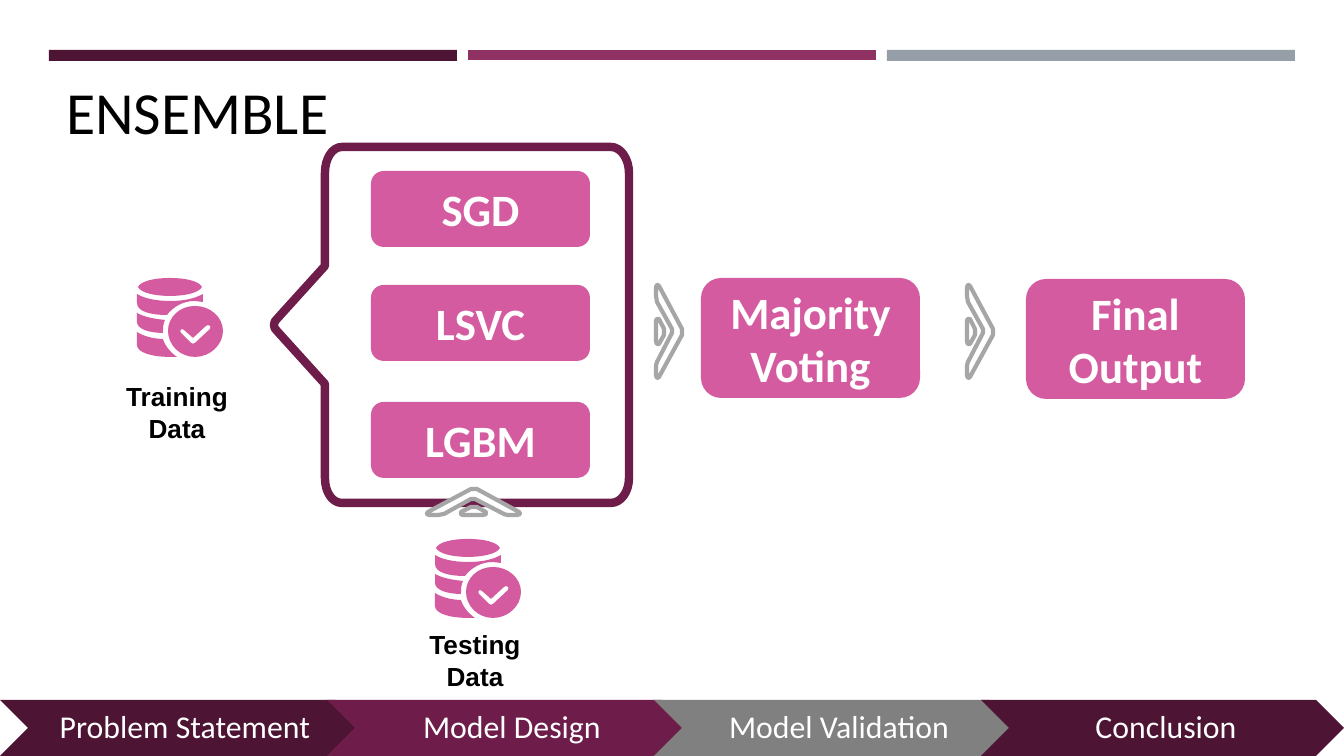
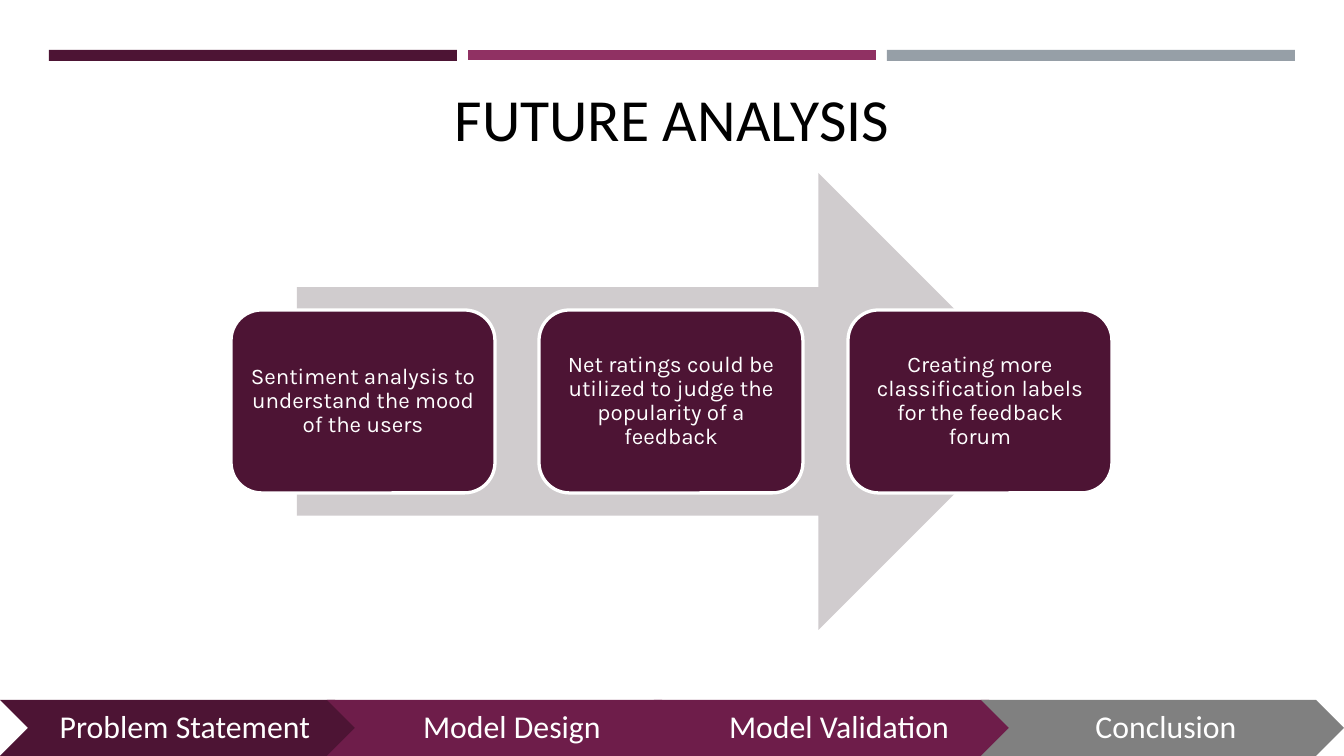
from pptx import Presentation
from pptx.dml.color import RGBColor
from pptx.enum.shapes import MSO_SHAPE as Shape
from pptx.enum.text import MSO_ANCHOR as Anchor, PP_ALIGN as Align
from pptx.oxml.ns import qn
from pptx.oxml.xmlchemy import OxmlElement
from pptx.util import Pt

PX = 914400 / 134.4

COLORS = {
    "plum": "4D1434",
    "wine": "6E1D4A",
    "berry": "903163",
    "pink": "D45B9F",
    "slate": "969FA7",
    "active": "808080",
    "arrow_line": "A6A6A6",
    "arrow_back": "D0CCCE",
    "white": "FFFFFF",
    "black": "000000",
}
STEPS = ["Problem Statement", "Model Design", "Model Validation", "Conclusion"]
STEP_COLORS = {
    "Model Validation": ["plum", "wine", "active", "plum"],
    "Conclusion": ["plum", "wine", "wine", "active"],
}

# Contours: a pair is a line end, six numbers are a cubic curve.
DATABASE_PARTS = [
    [[(1, 9), (4, 3, 18, 0, 33, 0), (48, 0, 62, 3, 65, 9),
      (62, 15, 48, 18, 33, 18), (18, 18, 4, 15, 1, 9)]],
    [[(0, 16), (0, 25), (0, 34, 15, 37, 30, 37), (36, 29, 46, 23, 58, 23),
      (61, 23, 63, 24, 66, 24), (66, 16), (57, 21, 46, 23, 33, 23),
      (21, 23, 8, 21, 0, 16)]],
    [[(71, 47), (73, 47, 75, 49, 73, 51), (58, 65), (57, 66, 55, 66, 54, 65),
      (44, 55), (42, 52, 45, 50, 47, 52), (56, 60), (69, 48)],
     [(58, 28), (43, 28, 31, 39, 31, 53), (31, 67, 43, 79, 58, 79),
      (73, 79, 86, 67, 86, 53), (86, 39, 73, 28, 58, 28)]],
    [[(0, 35), (0, 44), (0, 51, 12, 55, 26, 55), (26, 51, 26, 46, 28, 42),
      (17, 41, 7, 39, 0, 35)]],
    [[(0, 54), (0, 67), (0, 75, 16, 79, 33, 79), (35, 79, 38, 79, 40, 79),
      (34, 75, 28, 68, 26, 61), (16, 61, 6, 58, 0, 54)]],
]
ARROW_WIDTH = 26
ARROW_PARTS = [
    [(1, 0), (1, 0, 0, 1, 0, 3), (0, 11), (0, 13, 1, 15, 1, 17), (16, 44),
     (16, 46, 16, 47, 16, 48), (1, 77), (1, 78, 0, 79, 0, 81), (0, 90),
     (0, 91, 1, 93, 1, 93), (1, 93, 2, 93, 3, 92), (26, 50),
     (26, 48, 26, 46, 26, 44), (3, 1), (2, 0, 1, 0, 1, 0)],
    [(1, 34), (1, 34, 0, 35, 0, 36), (0, 56), (0, 58, 1, 59, 1, 59),
     (1, 59, 2, 59, 3, 59), (8, 50), (8, 48, 8, 46, 8, 44), (3, 34),
     (2, 34, 1, 34, 1, 34)],
]
MODEL_FRAME = [
    (0, 178), (0, 181, 1, 182, 3, 184), (51, 237), (51, 331),
    (51, 345, 58, 356, 68, 356), (337, 356), (347, 356, 355, 345, 355, 331),
    (355, 26), (355, 12, 347, 0, 337, 0), (68, 0), (58, 0, 51, 12, 51, 26),
    (51, 119), (3, 172), (1, 174, 0, 175, 0, 178),
]


def emu(*lengths):
    return [round(length * PX) for length in lengths]


def rgb(name):
    return RGBColor.from_string(COLORS[name])


def paint(shape, fill=None, line=None, width=0):
    shape.shadow.inherit = False
    if fill:
        shape.fill.solid()
        shape.fill.fore_color.rgb = rgb(fill)
    else:
        shape.fill.background()
    if line:
        shape.line.color.rgb = rgb(line)
        shape.line.width = Pt(width)
    else:
        shape.line.fill.background()


def add_box(slide, kind, box, fill, line=None, width=0):
    shape = slide.shapes.add_shape(kind, *emu(*box))
    paint(shape, fill, line, width)
    return shape


def write(shape, lines, font, size, color, bold=False, align=Align.CENTER,
          anchor=Anchor.MIDDLE, spacing=None, insets=None):
    frame = shape.text_frame
    frame.word_wrap = True
    frame.vertical_anchor = anchor
    if insets:
        (frame.margin_left, frame.margin_top,
         frame.margin_right, frame.margin_bottom) = emu(*insets)
    for index, line in enumerate(lines):
        paragraph = frame.add_paragraph() if index else frame.paragraphs[0]
        paragraph.text = line
        paragraph.alignment = align
        if spacing:
            paragraph.line_spacing = spacing
        paragraph.font.name = font
        paragraph.font.size = Pt(size)
        paragraph.font.bold = bold
        paragraph.font.color.rgb = rgb(color)


def add_text(slide, box, lines, *style, **options):
    write(slide.shapes.add_textbox(*emu(*box)), lines, *style, **options)


def pairs(segment):
    return list(zip(segment[::2], segment[1::2]))


def bend(shape, segments):
    """Merge the three lines drawn for each curve into one cubic curve."""
    outline = shape.element.find(".//" + qn("a:path"))
    lines = iter(outline.findall(qn("a:lnTo")))
    for segment in segments:
        drawn = [next(lines) for _ in pairs(segment)]
        if len(drawn) == 1:
            continue
        curve = OxmlElement("a:cubicBezTo")
        drawn[0].addprevious(curve)
        for line in drawn:
            curve.append(line[0])
            outline.remove(line)


def add_outline(slide, left, top, contours, **look):
    placed = [[emu(left + x, top + y) for segment in contour
               for x, y in pairs(segment)] for contour in contours]
    builder = slide.shapes.build_freeform(*placed[0][0], scale=1.0)
    for index, points in enumerate(placed):
        if index:
            builder.move_to(*points[0])
        builder.add_line_segments(points[1:], close=True)
    shape = builder.convert_to_shape()
    # A closing line back to the start has no point of its own.
    bend(shape, [segment for contour in contours for segment in contour[1:]])
    paint(shape, **look)


def add_top_bars(slide):
    add_box(slide, Shape.RECTANGLE, (49, 50, 408, 11), "plum")
    add_box(slide, Shape.RECTANGLE, (887, 50, 408, 11), "slate")
    add_box(slide, Shape.RECTANGLE, (468, 50, 408, 10), "berry")


def add_progress(slide, current):
    top, height, pitch = 700, 56, 327
    for index, (step, color) in enumerate(zip(STEPS, STEP_COLORS[current])):
        left = index * pitch
        add_box(slide, Shape.CHEVRON, (left, top, 363, height), color)
        add_text(slide, (left + 28, top, 308, height), [step], "Calibri", 17,
                 "white", spacing=0.9, insets=(9, 3, 3, 3))


def start_slide(presentation, title, title_box, title_align, current):
    slide = presentation.slides.add_slide(presentation.slide_layouts[6])
    add_top_bars(slide)
    add_progress(slide, current)
    add_text(slide, title_box, [title], "Calibri", 32, "black",
             align=title_align, anchor=Anchor.TOP, insets=(13, 13, 13, 13))
    return slide


def add_data_source(slide, left, top, name, label_drop):
    for contours in DATABASE_PARTS:
        add_outline(slide, left, top, contours, fill="pink")
    add_text(slide, (left - 42, top + label_drop, 164, 77), [name, "Data"],
             "Arial", 14, "black", bold=True, anchor=Anchor.TOP)


def turn_upward(segment):
    return tuple(value for x, y in pairs(segment) for value in (y, ARROW_WIDTH - x))


def add_arrow(slide, left, top, upward=False):
    for contour in ARROW_PARTS:
        if upward:
            contour = [turn_upward(segment) for segment in contour]
        add_outline(slide, left, top, [contour],
                    fill="white", line="arrow_line", width=2.25)


def add_stage(slide, left, top, height, lines):
    shape = add_box(slide, Shape.ROUNDED_RECTANGLE, (left, top, 219, height), "pink")
    write(shape, lines, "Calibri", 24, "white", bold=True)


def add_idea(slide, left, top, width, height, idea):
    add_box(slide, Shape.ROUNDED_RECTANGLE, (left, top, width, height),
            "plum", "white", 1.75)
    pad = 9
    add_text(slide, (left + pad, top + pad, width - 2 * pad, height - 2 * pad),
             [idea], "Karla", 12, "white", spacing=0.9, insets=(7, 7, 7, 7))


def build_ensemble(presentation):
    slide = start_slide(presentation, "ENSEMBLE", (53, 62, 306, 85),
                        Align.LEFT, "Model Validation")
    add_outline(slide, 274, 147, [MODEL_FRAME], line="wine", width=4.5)
    add_data_source(slide, 137, 278, "Training", 96)
    for top, model in [(171, "SGD"), (285, "LSVC"), (402, "LGBM")]:
        add_stage(slide, 371, top, 76, [model])
    add_data_source(slide, 435, 539, "Testing", 83)
    add_arrow(slide, 427, 489, upward=True)
    add_arrow(slide, 656, 285)
    add_stage(slide, 701, 278, 120, ["Majority", "Voting"])
    add_arrow(slide, 967, 285)
    add_stage(slide, 1026, 279, 120, ["Final", "Output"])


def build_future(presentation):
    slide = start_slide(presentation, "FUTURE ANALYSIS", (215, 69, 915, 85),
                        Align.CENTER, "Conclusion")
    add_box(slide, Shape.RIGHT_ARROW, (297, 173, 750, 457), "arrow_back")
    ideas = [
        "Sentiment analysis to understand the mood of the users",
        "Net ratings could be utilized to judge the popularity of a feedback",
        "Creating more classification labels for the feedback forum",
    ]
    first, last = 231, 848
    for index, idea in enumerate(ideas):
        left = first + index * (last - first) // 2
        add_idea(slide, left, 310, 264, 183, idea)


def main():
    presentation = Presentation()
    presentation.slide_width, presentation.slide_height = emu(1344, 756)
    build_ensemble(presentation)
    build_future(presentation)
    presentation.save("out.pptx")


if __name__ == "__main__":
    main()
